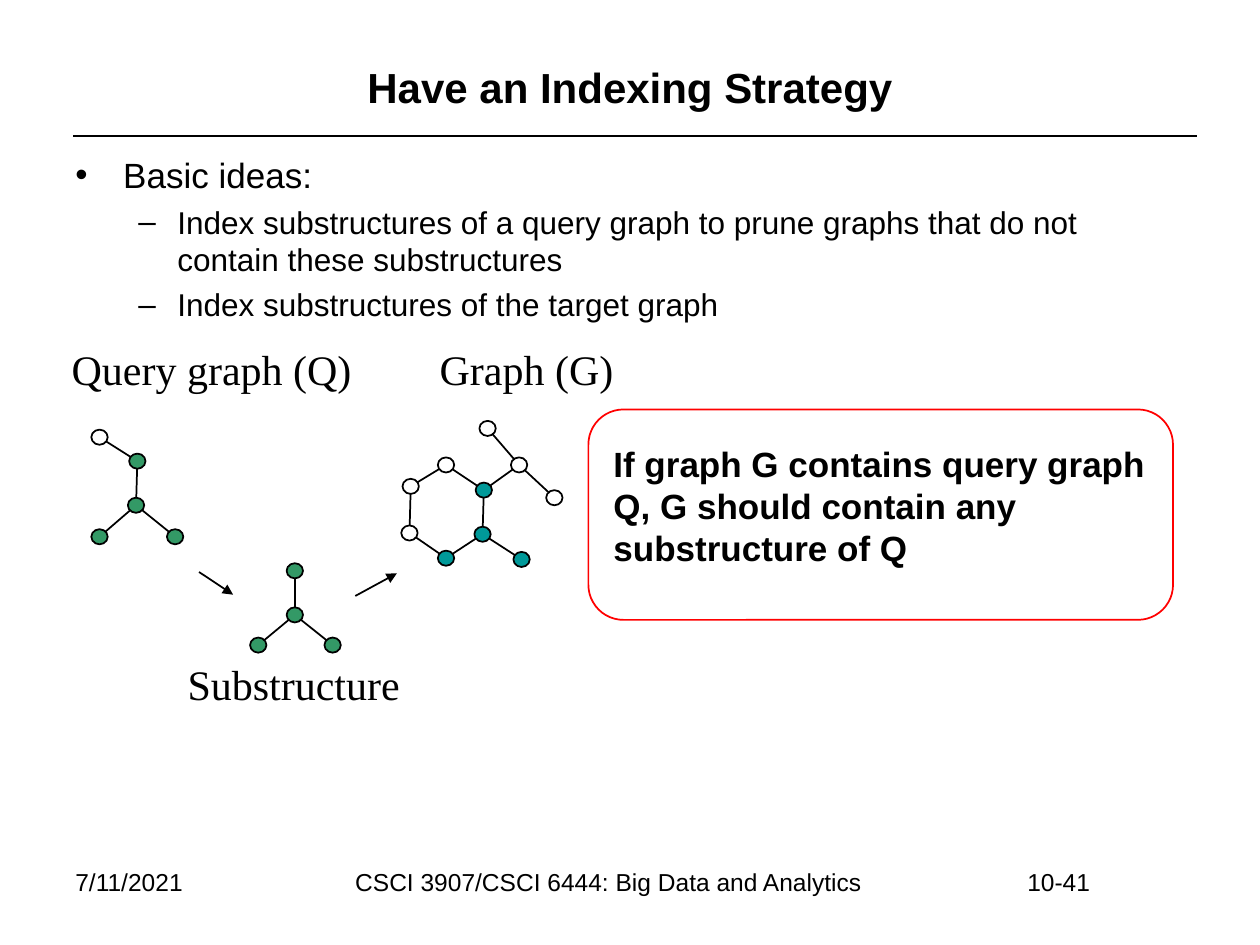
from math import hypot

from lxml import etree
from pptx import Presentation
from pptx.dml.color import RGBColor
from pptx.enum.shapes import MSO_CONNECTOR, MSO_SHAPE
from pptx.enum.text import MSO_ANCHOR, PP_ALIGN
from pptx.oxml.ns import qn
from pptx.util import Inches, Pt

LEFT, MID, RIGHT = PP_ALIGN.LEFT, PP_ALIGN.CENTER, PP_ALIGN.RIGHT
TOP, CENTER = MSO_ANCHOR.TOP, MSO_ANCHOR.MIDDLE
OVAL, ROUND = MSO_SHAPE.OVAL, MSO_SHAPE.ROUNDED_RECTANGLE
LINE = MSO_CONNECTOR.STRAIGHT

SANS, SERIF = "Arial", "Times New Roman"
BLACK, RED, GREEN, TEAL = "000000", "FF0000", "339966", "009999"
NODE_W, NODE_H = 0.13, 0.12

# Each graph: nodes as name -> (center x, center y, fill), then edges.
QUERY = {
    "tail": (0.79, 3.47, None),
    "top": (1.09, 3.66, GREEN),
    "hub": (1.08, 4.01, GREEN),
    "left": (0.79, 4.26, GREEN),
    "right": (1.39, 4.26, GREEN),
}
SUB = {
    "top": (2.34, 4.53, GREEN),
    "hub": (2.34, 4.88, GREEN),
    "left": (2.05, 5.12, GREEN),
    "right": (2.64, 5.12, GREEN),
}
TARGET = {
    "a": (3.84, 3.89, TEAL),
    "b": (3.83, 4.24, TEAL),
    "c": (4.14, 4.44, TEAL),
    "d": (3.54, 4.43, TEAL),
    "e": (3.54, 3.69, None),
    "f": (4.12, 3.69, None),
    "g": (3.26, 3.86, None),
    "h": (3.25, 4.23, None),
    "i": (4.40, 3.95, None),
    "j": (3.87, 3.40, None),
}
FORK = [("top", "hub"), ("hub", "left"), ("hub", "right")]
RING = ["ea", "af", "ab", "bd", "bc", "ge", "hd", "gh", "fi", "jf"]


def color(code):
    return RGBColor.from_string(code)


def add_para(frame, text, size, font=SANS, bold=False, align=LEFT, gap=0):
    first = frame.paragraphs[0]
    para = frame.add_paragraph() if first.runs else first
    para.alignment = align
    para.space_before = Pt(gap)
    run = para.add_run()
    run.text = text
    run.font.name = font
    run.font.size = Pt(size)
    run.font.bold = bold
    run.font.color.rgb = color(BLACK)
    return para


def add_frame(slide, box, wrap=True, anchor=TOP):
    frame = slide.shapes.add_textbox(*map(Inches, box)).text_frame
    frame.word_wrap = wrap
    frame.vertical_anchor = anchor
    return frame


def set_bullet(para, mark, indent, hang):
    props = para._p.get_or_add_pPr()
    props.set("marL", str(Inches(indent)))
    props.set("indent", str(-Inches(hang)))
    etree.SubElement(props, qn("a:buFont")).set("typeface", SANS)
    etree.SubElement(props, qn("a:buChar")).set("char", mark)


def add_line(slide, start, end, width=1, arrow=False):
    points = map(Inches, (*start, *end))
    line = slide.shapes.add_connector(LINE, *points)
    line.line.color.rgb = color(BLACK)
    line.line.width = Pt(width)
    if arrow:
        tail = etree.SubElement(line.line._get_or_add_ln(), qn("a:tailEnd"))
        tail.set("type", "triangle")
    etree.SubElement(line._element.spPr, qn("a:effectLst"))


def add_shape(slide, kind, box, edge, fill=None):
    shape = slide.shapes.add_shape(kind, *map(Inches, box))
    shape.shadow.inherit = False
    shape.line.color.rgb = color(edge)
    shape.line.width = Pt(1)
    if fill:
        shape.fill.solid()
        shape.fill.fore_color.rgb = color(fill)
    else:
        shape.fill.background()
    return shape


def add_edge(slide, start, end):
    """Draw a line between two node centers, cut at the node rims."""
    (x1, y1), (x2, y2) = start, end
    dx, dy = x2 - x1, y2 - y1
    cut = 0.5 / hypot(dx / NODE_W, dy / NODE_H)
    dx, dy = dx * cut, dy * cut
    add_line(slide, (x1 + dx, y1 + dy), (x2 - dx, y2 - dy))


def add_graph(slide, nodes, edges):
    for start, end in edges:
        add_edge(slide, nodes[start][:2], nodes[end][:2])
    for x, y, fill in nodes.values():
        box = (x - NODE_W / 2, y - NODE_H / 2, NODE_W, NODE_H)
        add_shape(slide, OVAL, box, BLACK, fill)


def add_body(slide):
    frame = add_frame(slide, (0.5, 1.17, 9, 5.62))
    para = add_para(frame, "Basic ideas:", 20, gap=4)
    set_bullet(para, "•", 0.38, 0.38)
    for text in (
        "Index substructures of a query graph to prune graphs "
        "that do not contain these substructures",
        "Index substructures of the target graph",
    ):
        para = add_para(frame, text, 18, gap=4)
        para.level = 1
        set_bullet(para, "–", 0.81, 0.31)


def add_footer(slide):
    for text, x, width, align in (
        ("7/11/2021", 0.5, 1.5, LEFT),
        ("CSCI 3907/CSCI 6444: Big Data and Analytics", 2.08, 5.5, MID),
        ("10-41", 7.67, 1.08, RIGHT),
    ):
        frame = add_frame(slide, (x, 6.83, width, 0.52))
        add_para(frame, text, 14, align=align)


def add_labels(slide):
    for text, x, y, width, wrap in (
        ("Graph (G)", 3.39, 2.68, 1.58, False),
        ("Substructure", 1.39, 5.18, 1.89, False),
        ("Query graph (Q)", 0.47, 2.68, 2.5, True),
    ):
        frame = add_frame(slide, (x, y, width, 0.5), wrap)
        add_para(frame, text, 24, SERIF, gap=4.8)


def add_callout(slide):
    add_shape(slide, ROUND, (4.67, 3.25, 4.64, 1.67), RED)
    frame = add_frame(slide, (4.77, 3.46, 4.44, 1.11))
    text = ("If graph G contains query graph Q, "
            "G should contain any substructure of Q")
    add_para(frame, text, 20, bold=True, gap=4)


def main():
    deck = Presentation()
    deck.slide_width, deck.slide_height = Inches(10), Inches(7.5)
    slide = deck.slides.add_slide(deck.slide_layouts[6])

    add_line(slide, (0.58, 1.08), (9.5, 1.08), 0.75)
    title = add_frame(slide, (0.5, 0.3, 9, 0.78), anchor=CENTER)
    add_para(title, "Have an Indexing Strategy", 24, bold=True, align=MID)
    add_body(slide)
    add_footer(slide)
    add_labels(slide)

    add_graph(slide, QUERY, [("tail", "top"), *FORK])
    add_graph(slide, TARGET, RING)
    add_graph(slide, SUB, FORK)
    add_line(slide, (1.58, 4.54), (1.85, 4.72), arrow=True)
    add_line(slide, (2.82, 4.73), (3.15, 4.55), arrow=True)
    add_callout(slide)

    deck.save("out.pptx")


if __name__ == "__main__":
    main()
